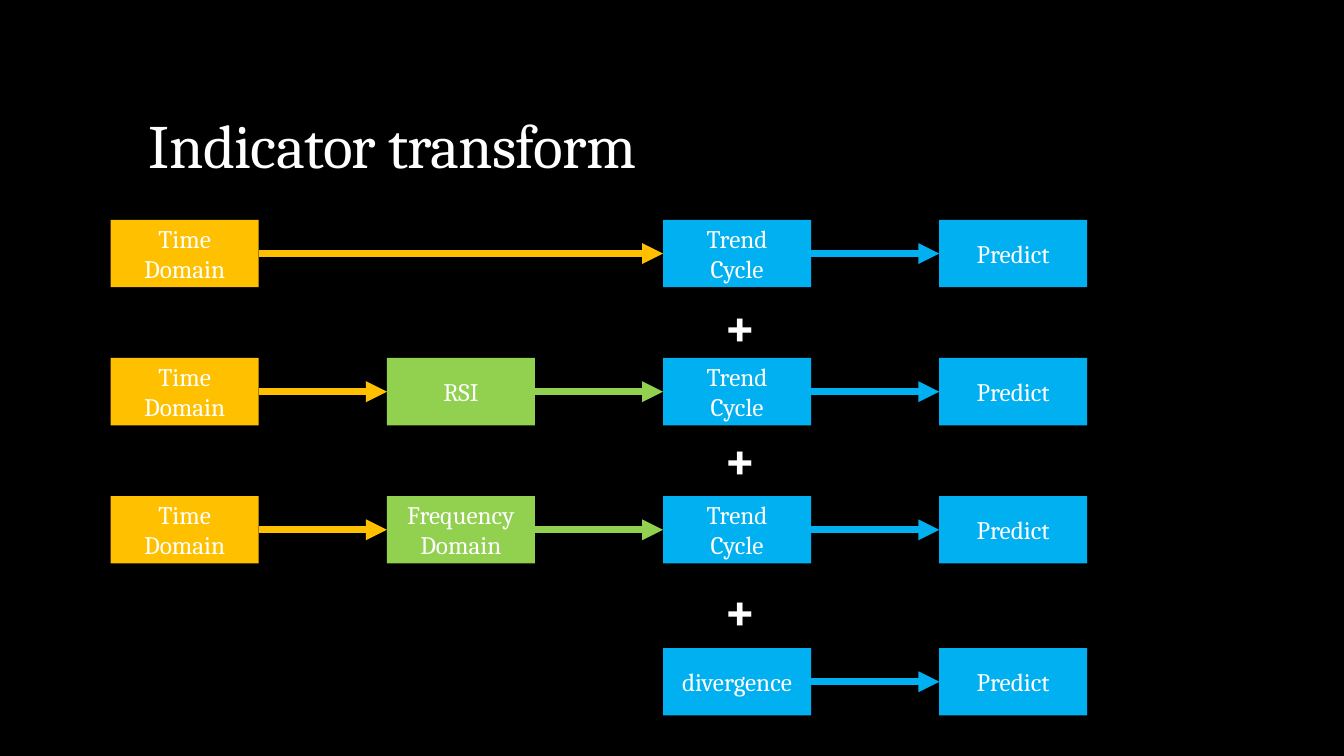
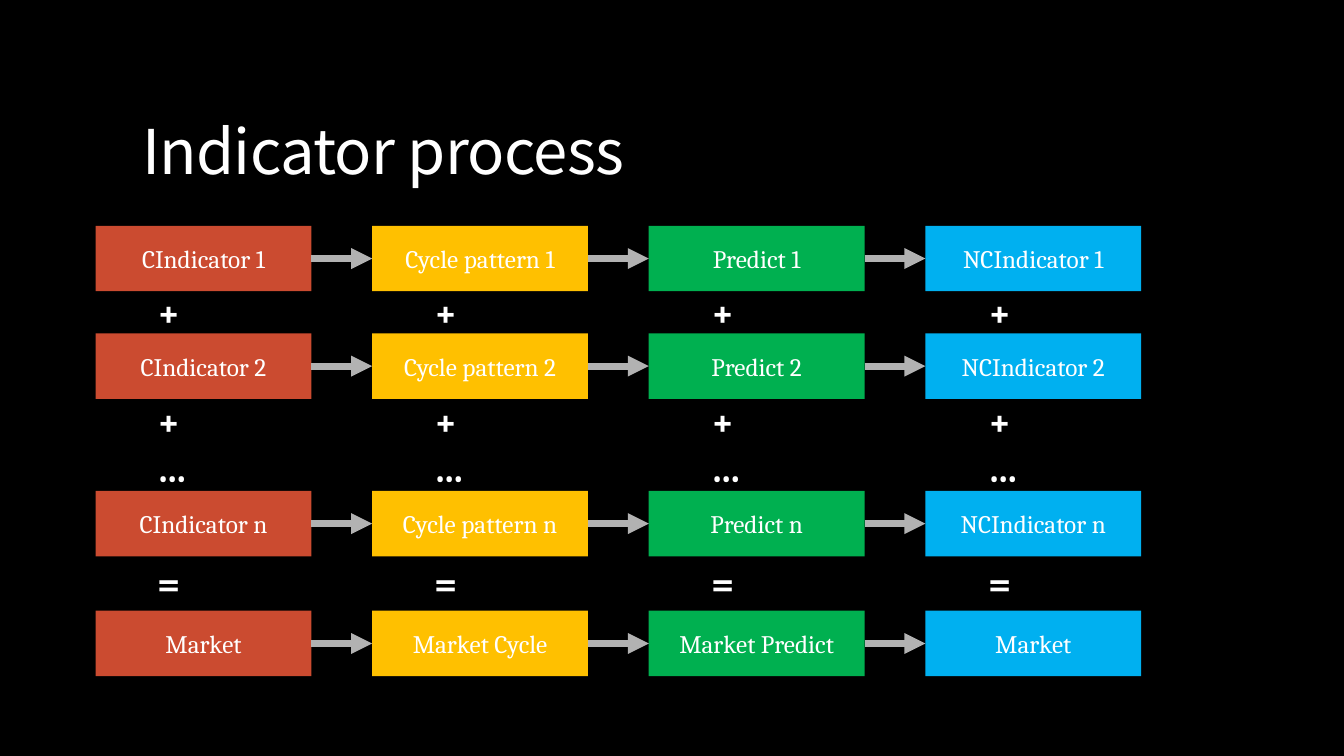
from dataclasses import dataclass
from itertools import pairwise

from lxml import etree
from pptx import Presentation
from pptx.dml.color import RGBColor
from pptx.enum.shapes import MSO_CONNECTOR, MSO_SHAPE
from pptx.enum.text import MSO_ANCHOR, MSO_AUTO_SIZE, PP_ALIGN
from pptx.oxml.ns import qn
from pptx.slide import Slide
from pptx.text.text import TextFrame
from pptx.util import Cm, Pt

RECTANGLE = MSO_SHAPE.RECTANGLE
STRAIGHT = MSO_CONNECTOR.STRAIGHT
MIDDLE, BOTTOM = MSO_ANCHOR.MIDDLE, MSO_ANCHOR.BOTTOM
LEFT, CENTER = PP_ALIGN.LEFT, PP_ALIGN.CENTER
NO_FIT, GROW = MSO_AUTO_SIZE.NONE, MSO_AUTO_SIZE.SHAPE_TO_FIT_TEXT
TITLE_ONLY = 5
LEFT_SIDE, RIGHT_SIDE = 1, 3

COLOURS = {
    "background": "000000",
    "text": "FFFFFF",
    "amber": "FFC000",
    "lime": "92D050",
    "blue": "00B0F0",
    "red": "CB4B30",
    "green": "00B050",
    "grey": "B2B2B2",
}
BODY_FONT = "Cambria"
TITLE_SIZE, STAGE_SIZE = 44, 18
ARROW_WIDTH = 5


@dataclass(frozen=True)
class Grid:
    left: float
    pitch: float
    width: float
    height: float


@dataclass(frozen=True)
class Stage:
    column: int
    label: str
    colour: str


@dataclass(frozen=True)
class Flow:
    top: float
    stages: tuple[Stage, ...]


@dataclass(frozen=True)
class Operator:
    symbols: str
    left: float
    top: float
    width: float
    height: float
    size: int


def rgb(colour: str) -> RGBColor:
    return RGBColor.from_string(COLOURS[colour])


def format_text(frame: TextFrame, size: int, align: PP_ALIGN,
                font: str = BODY_FONT, bold: bool = False) -> None:
    for paragraph in frame.paragraphs:
        paragraph.alignment = align
        for run in paragraph.runs:
            run.font.name = font
            run.font.size = Pt(size)
            run.font.bold = bold
            run.font.color.rgb = rgb("text")


def add_titled_slide(title: str, left: float, top: float, font: str) -> Slide:
    slide = deck.slides.add_slide(deck.slide_layouts[TITLE_ONLY])
    heading = slide.shapes.title
    heading.left, heading.top = Cm(left), Cm(top)
    heading.width, heading.height = Cm(26.92), Cm(3.68)
    frame = heading.text_frame
    frame.text = title
    frame.auto_size = NO_FIT
    frame.vertical_anchor = BOTTOM
    format_text(frame, TITLE_SIZE, LEFT, font)
    paragraph = frame.paragraphs[0]
    paragraph.line_spacing = 0.9
    paragraph.runs[0].font._element.set("spc", "-50")
    return slide


def add_stage(slide: Slide, grid: Grid, stage: Stage, top: float):
    box = slide.shapes.add_shape(
        RECTANGLE, Cm(grid.left + stage.column * grid.pitch), Cm(top),
        Cm(grid.width), Cm(grid.height))
    box.shadow.inherit = False
    box.fill.solid()
    box.fill.fore_color.rgb = rgb(stage.colour)
    box.line.fill.background()
    box.text_frame.text = stage.label
    box.text_frame.word_wrap = True
    box.text_frame.vertical_anchor = MIDDLE
    format_text(box.text_frame, STAGE_SIZE, CENTER)
    return box


def add_arrow(slide: Slide, source, target, colour: str) -> None:
    arrow = slide.shapes.add_connector(STRAIGHT, 0, 0, 0, 0)
    arrow.begin_connect(source, RIGHT_SIDE)
    arrow.end_connect(target, LEFT_SIDE)
    arrow.line.width = Pt(ARROW_WIDTH)
    arrow.line.color.rgb = rgb(colour)
    etree.SubElement(arrow.line._get_or_add_ln(), qn("a:tailEnd"), type="triangle")
    etree.SubElement(arrow._element.spPr, qn("a:effectLst"))


def add_flow(slide: Slide, grid: Grid, flow: Flow, arrow_colour: str = "") -> None:
    boxes = [add_stage(slide, grid, stage, flow.top) for stage in flow.stages]
    for stage, (source, target) in zip(flow.stages, pairwise(boxes)):
        add_arrow(slide, source, target, arrow_colour or stage.colour)


def add_operator(slide: Slide, operator: Operator) -> None:
    sign = slide.shapes.add_textbox(Cm(operator.left), Cm(operator.top),
                                    Cm(operator.width), Cm(operator.height))
    sign.text_frame.text = operator.symbols
    sign.text_frame.word_wrap = True
    sign.text_frame.auto_size = GROW
    format_text(sign.text_frame, operator.size, LEFT, bold=True)


def build_transform() -> None:
    slide = add_titled_slide("Indicator transform", 3.5, 1.02, BODY_FONT)
    grid = Grid(left=2.79, pitch=6.96, width=3.73, height=1.7)
    time_domain = Stage(0, "Time Domain", "amber")
    trend = Stage(2, "Trend\nCycle", "blue")
    predict = Stage(3, "Predict", "blue")
    flows = (
        Flow(5.54, (time_domain, trend, predict)),
        Flow(9.02, (time_domain, Stage(1, "RSI", "lime"), trend, predict)),
        Flow(12.5, (time_domain, Stage(1, "Frequency Domain", "lime"), trend, predict)),
        Flow(16.33, (Stage(2, "divergence", "blue"), predict)),
    )
    for flow in flows:
        add_flow(slide, grid, flow)
    for top in (7.19, 10.54, 14.35):
        add_operator(slide, Operator("+", 17.98, top, 1.7, 1.96, 40))


def build_process() -> None:
    slide = add_titled_slide("Indicator process", 3.33, 1.17, "Noto Sans CJK JP")
    grid = Grid(left=2.41, pitch=6.97, width=5.44, height=1.65)
    colours = ("red", "amber", "green", "blue")
    series = ("CIndicator", "Cycle pattern", "Predict", "NCIndicator")
    totals = ("Market", "Market Cycle", "Market Predict", "Market")
    rows = [(top, [f"{name} {index}" for name in series])
            for top, index in ((5.69, "1"), (8.4, "2"), (12.37, "n"))]
    rows.append((15.39, totals))
    for top, labels in rows:
        stages = tuple(Stage(column, label, colour) for column, (label, colour)
                       in enumerate(zip(labels, colours)))
        add_flow(slide, grid, Flow(top, stages), "grey")
    for column in range(len(series)):
        left = 3.71 + column * 6.98
        for symbols, top, width, height in (
                ("+", 7.11, 1.63, 1.45),
                ("+\n…", 9.86, 2.21, 2.64),
                ("=", 13.94, 1.63, 1.45)):
            add_operator(slide, Operator(symbols, left, top, width, height, 28))


deck = Presentation()
deck.slide_width, deck.slide_height = Cm(33.87), Cm(19.05)
backdrop = deck.slide_master.background.fill
backdrop.solid()
backdrop.fore_color.rgb = rgb("background")
build_transform()
build_process()
deck.save("out.pptx")
